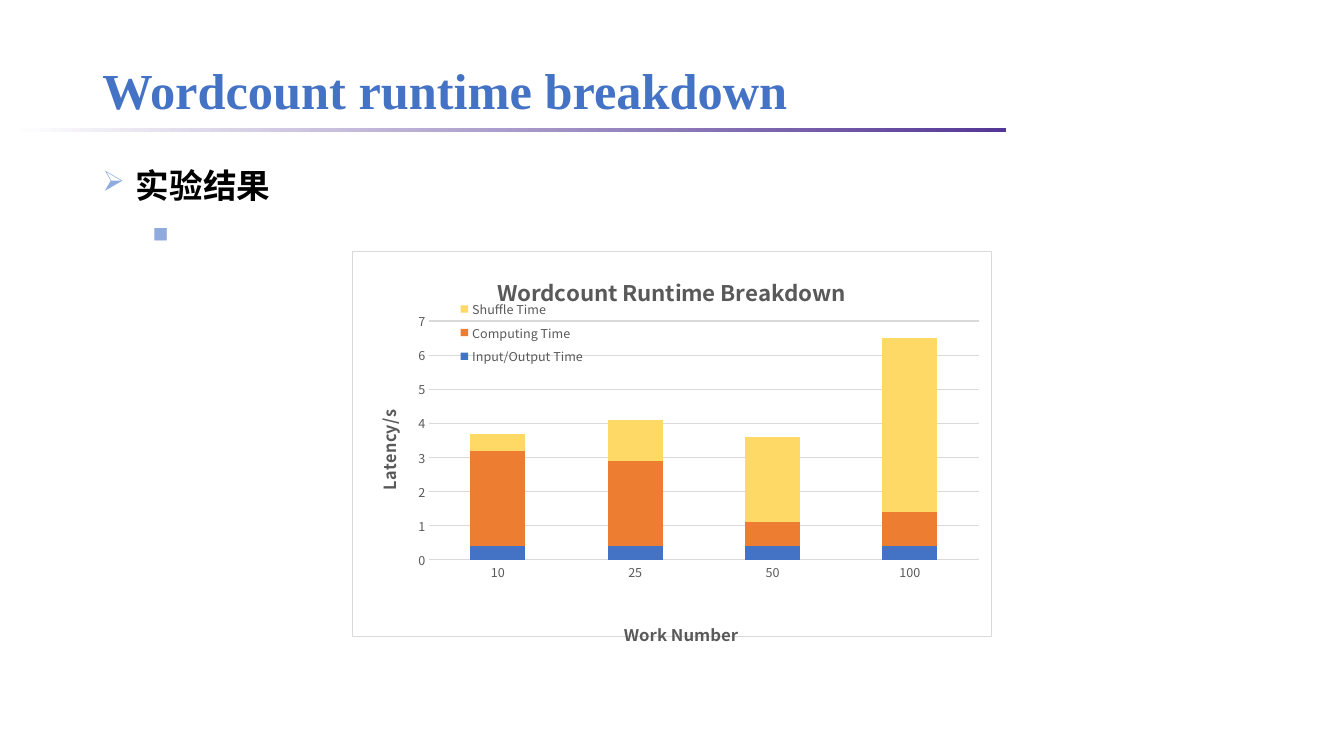
from lxml.etree import SubElement
from pptx import Presentation
from pptx.chart.data import CategoryChartData
from pptx.dml.color import RGBColor
from pptx.enum.chart import XL_CHART_TYPE, XL_LEGEND_POSITION, XL_TICK_MARK
from pptx.enum.shapes import MSO_SHAPE
from pptx.enum.text import MSO_ANCHOR, MSO_AUTO_SIZE, PP_ALIGN
from pptx.oxml import parse_xml
from pptx.oxml.ns import nsdecls, qn
from pptx.util import Pt

COLORS = {
    "title": "4472C4", "text": "000000", "bullet": "8FAADC",
    "rule_start": "FFFFFF", "rule_end": "543795",
    "chart_text": "595959", "grid": "D9D9D9", "panel": "FFFFFF",
}
LATIN, CJK = "Times New Roman", "Noto Sans CJK SC"
TITLE = "Wordcount runtime breakdown"
BULLETS = [
    dict(text="实验结果", level=0, left=24, hang=24, mark="➢", scale=85,
         size=24, font=CJK, bold=True, before=12, spacing=1.2),
    dict(text=" ", level=1, left=54, hang=18, mark="■", scale=70,
         size=22, font=LATIN, bold=False, before=10, spacing=1.0),
]
CHART_TITLE, X_TITLE, Y_TITLE = "Wordcount Runtime Breakdown", "Work Number", "Latency/s"
WORKERS = ["10", "25", "50", "100"]
SERIES = [
    ("Input/Output Time", [0.4, 0.4, 0.4, 0.4], "4472C4"),
    ("Computing Time", [2.8, 2.5, 0.7, 1.0], "ED7D31"),
    ("Shuffle Time", [0.5, 1.2, 2.5, 5.1], "FFD966"),
]
BOXES = {
    "rule": (8, 91.5, 710.5, 3),
    "title": (66, 29, 828, 61),
    "body": (66, 108.5, 828, 378),
    "chart": (251.5, 179.5, 457, 286),
}
LAYOUTS = [
    ("./c:chart/c:title", "c:tx", dict(x=0.22, y=0.05)),
    (".//c:catAx/c:title", "c:tx", dict(x=0.42, y=0.95)),
    (".//c:valAx/c:title", "c:tx", dict(x=0.03, y=0.41)),
    (".//c:legend", "c:legendPos", dict(x=0.14, y=0.11, w=0.25, h=0.2)),
    (".//c:plotArea", None, dict(x=0.12, y=0.18, w=0.86, h=0.62)),
]


def rgb(value):
    return RGBColor.from_string(value)


def box(name):
    return [Pt(length) for length in BOXES[name]]


def style(font, size, color, name, bold=False):
    font.size, font.bold, font.name = Pt(size), bold, name
    font.color.rgb = rgb(color)


def add_rule(slide):
    rule = slide.shapes.add_shape(MSO_SHAPE.RECTANGLE, *box("rule"))
    rule.shadow.inherit = False
    rule.line.fill.background()
    rule.fill.gradient()
    rule.fill.gradient_angle = 0
    for stop, key in zip(rule.fill.gradient_stops, ("rule_start", "rule_end")):
        stop.color.rgb = rgb(COLORS[key])


def add_title(slide):
    title = slide.shapes.title
    title.left, title.top, title.width, title.height = box("title")
    frame = title.text_frame
    frame.text = TITLE
    frame.auto_size = MSO_AUTO_SIZE.NONE
    frame.vertical_anchor = MSO_ANCHOR.MIDDLE
    heading = frame.paragraphs[0]
    heading.alignment = PP_ALIGN.LEFT
    heading.line_spacing = 1.2
    style(heading.font, 36, COLORS["title"], LATIN, True)


def add_bullets(slide):
    frame = slide.shapes.add_textbox(*box("body")).text_frame
    frame.word_wrap = True
    for index, item in enumerate(BULLETS):
        line = frame.add_paragraph() if index else frame.paragraphs[0]
        line.text, line.level = item["text"], item["level"]
        props = line._p.get_or_add_pPr()
        props.set("marL", str(Pt(item["left"])))
        props.set("indent", str(-Pt(item["hang"])))
        SubElement(SubElement(props, qn("a:buClr")), qn("a:srgbClr"), val=COLORS["bullet"])
        SubElement(props, qn("a:buSzPct"), val=str(item["scale"] * 1000))
        SubElement(props, qn("a:buChar"), char=item["mark"])
        line.space_before = Pt(item["before"])
        line.line_spacing = item["spacing"]
        style(line.font, item["size"], COLORS["text"], item["font"], item["bold"])
        SubElement(props.find(qn("a:defRPr")), qn("a:ea"), typeface=item["font"])


def set_layout(parent, after, place):
    for old in parent.findall(qn("c:layout")):
        parent.remove(old)
    layout = parse_xml(f"<c:layout {nsdecls('c')}><c:manualLayout/></c:layout>")
    manual = layout[0]
    if after is None:
        SubElement(manual, qn("c:layoutTarget"), val="inner")
    for axis in "xy":
        SubElement(manual, qn(f"c:{axis}Mode"), val="edge")
    for key, value in place.items():
        SubElement(manual, qn(f"c:{key}"), val=str(value))
    if after is None:
        parent.insert(0, layout)
    else:
        parent.find(qn(after)).addnext(layout)


def add_heading(owner, text, size):
    frame = owner.text_frame
    frame.text = text
    style(frame.paragraphs[0].font, size, COLORS["chart_text"], CJK, True)


def add_breakdown_chart(slide):
    data = CategoryChartData(number_format="0.0")
    data.categories = WORKERS
    for name, values, _ in SERIES:
        data.add_series(name, values)
    chart = slide.shapes.add_chart(XL_CHART_TYPE.COLUMN_STACKED, *box("chart"), data).chart
    style(chart.font, 10, COLORS["text"], CJK)
    add_heading(chart.chart_title, CHART_TITLE, 16)

    plot = chart.plots[0]
    plot.gap_width, plot.overlap, plot.vary_by_categories = 150, 100, False
    for series, (_, _, color) in zip(plot.series, SERIES):
        series.format.fill.solid()
        series.format.fill.fore_color.rgb = rgb(color)

    workers, latency = chart.category_axis, chart.value_axis
    for axis, text in ((workers, X_TITLE), (latency, Y_TITLE)):
        add_heading(axis.axis_title, text, 12)
        axis.major_tick_mark = axis.minor_tick_mark = XL_TICK_MARK.NONE
        style(axis.tick_labels.font, 9, COLORS["chart_text"], CJK)
    latency.minimum_scale, latency.maximum_scale, latency.major_unit = 0, 7, 1
    latency.tick_labels.number_format = "0"
    latency.tick_labels.number_format_is_linked = False
    latency.format.line.fill.background()
    for line in (workers.format.line, latency.major_gridlines.format.line):
        line.color.rgb, line.width = rgb(COLORS["grid"]), Pt(0.75)

    chart.has_legend = True
    chart.legend.position = XL_LEGEND_POSITION.CORNER
    chart.legend.include_in_layout = True
    style(chart.legend.font, 9, COLORS["chart_text"], CJK)
    space = chart.element
    for target, after, place in LAYOUTS:
        set_layout(space.xpath(target)[0], after, place)
    panel = parse_xml(
        f"<c:spPr {nsdecls('c', 'a')}>"
        f"<a:solidFill><a:srgbClr val='{COLORS['panel']}'/></a:solidFill>"
        f"<a:ln w='{Pt(0.75)}'><a:solidFill><a:srgbClr val='{COLORS['grid']}'/></a:solidFill></a:ln>"
        "</c:spPr>")
    space.find(qn("c:txPr")).addprevious(panel)


def main():
    """Build the Wordcount runtime breakdown slide."""
    deck = Presentation()
    deck.slide_width, deck.slide_height = Pt(960), Pt(540)
    slide = deck.slides.add_slide(deck.slide_layouts[5])
    add_rule(slide)
    add_title(slide)
    add_bullets(slide)
    add_breakdown_chart(slide)
    deck.save("out.pptx")


if __name__ == "__main__":
    main()
